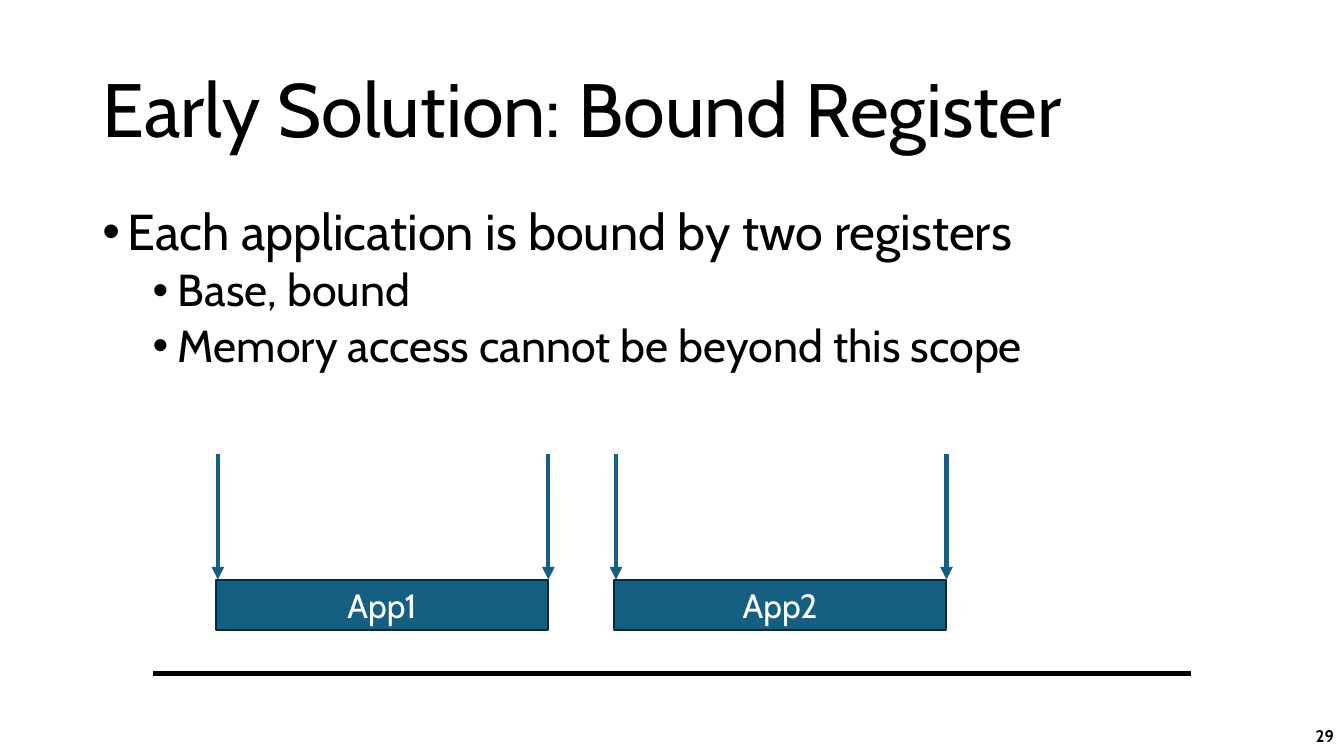
from lxml.etree import SubElement
from pptx import Presentation
from pptx.dml.color import RGBColor
from pptx.enum.shapes import MSO_CONNECTOR, MSO_SHAPE
from pptx.enum.text import MSO_ANCHOR, MSO_AUTO_SIZE, PP_ALIGN
from pptx.oxml.ns import qn
from pptx.util import Pt

BLACK, WHITE, BLUE, NAVY = "000000", "FFFFFF", "156082", "092A39"
BULLETS = [
    (0, "Each application is bound by two registers"),
    (1, "Base, bound"),
    (1, "Memory access cannot be beyond this scope"),
]


def color(hex_value):
    return RGBColor.from_string(hex_value)


def place(shape, left, top, width, height):
    shape.left, shape.top = Pt(left), Pt(top)
    shape.width, shape.height = Pt(width), Pt(height)


def style_paragraph(paragraph, size, hex_value=BLACK, align=PP_ALIGN.LEFT, bold=False):
    paragraph.alignment = align
    font = paragraph.font
    font.name, font.size, font.bold = "Cabin", Pt(size), bold
    font.color.rgb = color(hex_value)


def add_line(slide, start, end, hex_value, width, arrow=False):
    line = slide.shapes.add_connector(
        MSO_CONNECTOR.STRAIGHT, *(Pt(value) for value in (*start, *end)))
    line.line.color.rgb = color(hex_value)
    line.line.width = Pt(width)
    if arrow:
        SubElement(line.line._get_or_add_ln(), qn("a:tailEnd"), type="triangle")
    SubElement(line._element.spPr, qn("a:effectLst"))


def add_title(slide, left, top, width, height):
    title = slide.shapes.title
    place(title, left, top, width, height)
    frame = title.text_frame
    frame.text = "Early Solution: Bound Register"
    frame.vertical_anchor = MSO_ANCHOR.MIDDLE
    frame.auto_size = MSO_AUTO_SIZE.NONE
    frame.paragraphs[0].line_spacing = 0.9
    style_paragraph(frame.paragraphs[0], 54)


def add_bullets(slide, left, top, width, height):
    box = slide.shapes.add_textbox(Pt(left), Pt(top), Pt(width), Pt(height))
    frame = box.text_frame
    frame.word_wrap = True
    frame.text = "\n".join(text for _, text in BULLETS)
    for paragraph, (level, _) in zip(frame.paragraphs, BULLETS):
        paragraph.level = level
        properties = paragraph._p.get_or_add_pPr()
        properties.set("marL", str(Pt(18 + 36 * level)))
        properties.set("indent", str(Pt(-18)))
        SubElement(properties, qn("a:buFont"), typeface="Arial")
        SubElement(properties, qn("a:buChar"), char="•")
        paragraph.line_spacing = 0.9
        paragraph.space_before = Pt(10 - 5 * level)
        style_paragraph(paragraph, 36 - 4 * level)


def add_application(slide, name, left, top, width, height):
    arrow_length, base_inset = 89.5, 1.5
    block = slide.shapes.add_shape(
        MSO_SHAPE.RECTANGLE, Pt(left), Pt(top), Pt(width), Pt(height))
    block.shadow.inherit = False
    block.fill.solid()
    block.fill.fore_color.rgb = color(BLUE)
    block.line.color.rgb = color(NAVY)
    block.line.width = Pt(1.5)
    frame = block.text_frame
    frame.text = name
    frame.vertical_anchor = MSO_ANCHOR.MIDDLE
    style_paragraph(frame.paragraphs[0], 24, WHITE, PP_ALIGN.CENTER)
    for bound in (left + base_inset, left + width):
        add_line(slide, (bound, top - arrow_length), (bound, top), BLUE, 3, arrow=True)


def add_memory(slide, left, top, width):
    for index, name in enumerate(("App1", "App2")):
        add_application(slide, name, left + 44.6 + 284.4 * index, top - 67, 237.6, 36)
    add_line(slide, (left, top), (left + width, top), BLACK, 4)


def add_page_number(slide, left, top, width, height):
    box = slide.shapes.add_textbox(Pt(left), Pt(top), Pt(width), Pt(height))
    frame = box.text_frame
    frame.word_wrap = True
    frame.vertical_anchor = MSO_ANCHOR.MIDDLE
    frame.text = "29"
    style_paragraph(frame.paragraphs[0], 12, align=PP_ALIGN.RIGHT, bold=True)


def main():
    deck = Presentation()
    deck.slide_width, deck.slide_height = Pt(960), Pt(540)
    slide = deck.slides.add_slide(deck.slide_layouts[5])
    add_title(slide, 66, 28.8, 828, 104.4)
    add_bullets(slide, 66, 144, 828, 342.7)
    add_page_number(slide, 744, 511.2, 216, 28.8)
    add_memory(slide, 109.5, 481, 741.6)
    deck.save("out.pptx")


if __name__ == "__main__":
    main()
